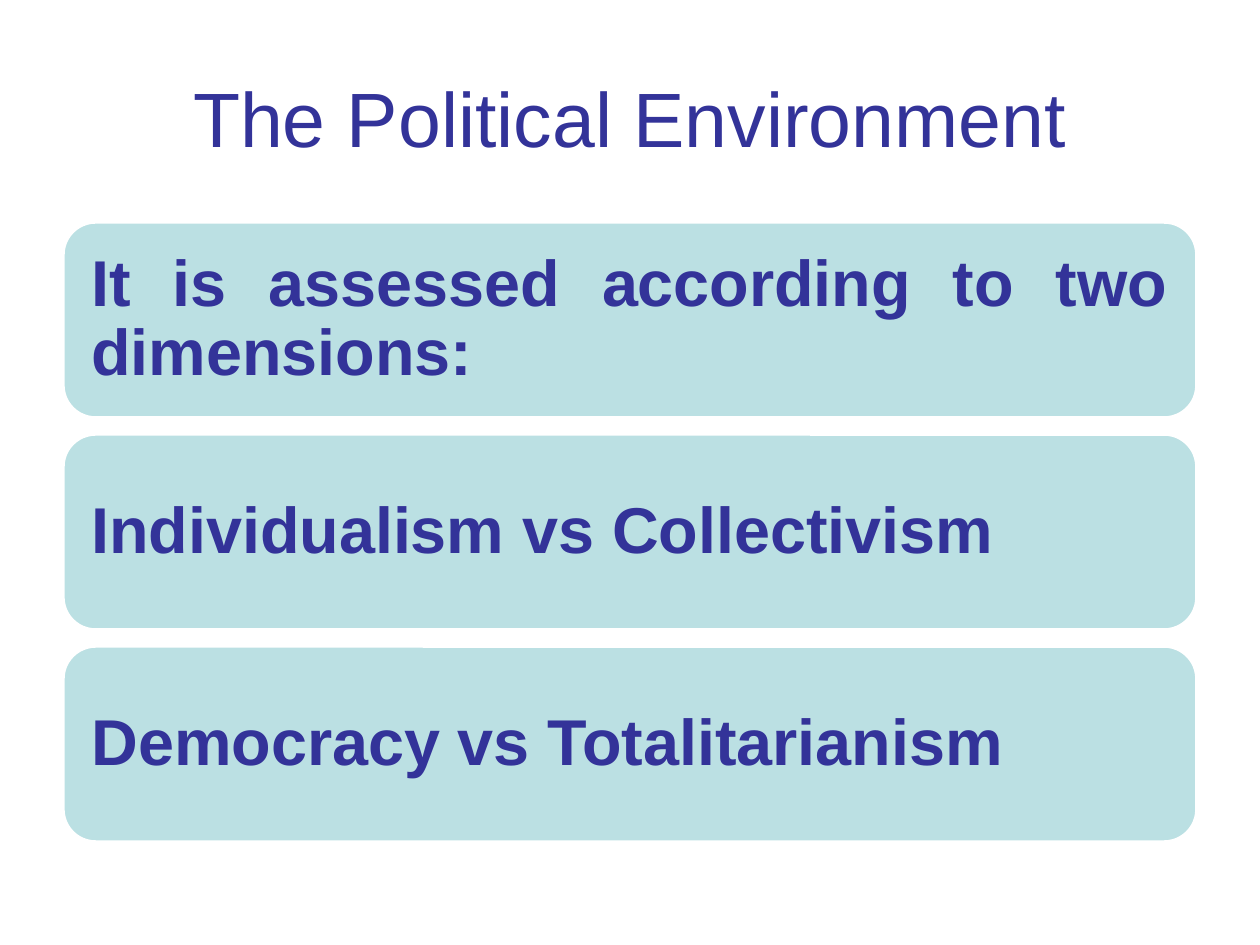
"""Build the slide on the political environment and its two dimensions."""
from pptx import Presentation, util as u
from pptx.dml.color import RGBColor
from pptx.enum import shapes, text

HEADING = "The Political Environment"
STATEMENTS = [
    "It is assessed according to two dimensions:",
    "Individualism vs Collectivism",
    "Democracy vs Totalitarianism",
]
INDIGO = RGBColor(0x33, 0x33, 0x99)
PALE_TEAL = RGBColor(0xBB, 0xE0, 0xE3)
WHITE = RGBColor(0xFF, 0xFF, 0xFF)
FONT = "Arial"

LEFT, WIDTH = 63, 1134
HEADING_TOP, HEADING_HEIGHT = 38, 158
PANEL_TOP, PANEL_HEIGHT, PANEL_GAP = 222, 196, 16
PANEL_INSET = 19


def px(length):
    return u.Emu(round(length * 914400 / 126))


def write(frame, words, size, alignment, bold=False):
    frame.text = words
    frame.word_wrap = True
    frame.auto_size = text.MSO_AUTO_SIZE.NONE
    frame.vertical_anchor = text.MSO_ANCHOR.MIDDLE
    paragraph = frame.paragraphs[0]
    paragraph.alignment = alignment
    font = paragraph.runs[0].font
    font.name, font.size, font.bold = FONT, u.Pt(size), bold
    font.color.rgb = INDIGO
    return paragraph


def add_panel(slide, top, statement):
    panel = slide.shapes.add_shape(
        shapes.MSO_SHAPE.ROUNDED_RECTANGLE,
        px(LEFT), px(top), px(WIDTH), px(PANEL_HEIGHT))
    panel.shadow.inherit = False
    panel.fill.solid()
    panel.fill.fore_color.rgb = PALE_TEAL
    panel.line.color.rgb = WHITE
    panel.line.width = u.Pt(2)
    frame = panel.text_frame
    frame.margin_left = frame.margin_right = px(PANEL_INSET)
    frame.margin_top = frame.margin_bottom = px(PANEL_INSET)
    paragraph = write(frame, statement, 37, text.PP_ALIGN.JUSTIFY, bold=True)
    paragraph.line_spacing = 0.9


def main():
    deck = Presentation()
    deck.slide_width, deck.slide_height = px(1260), px(945)
    slide = deck.slides.add_slide(deck.slide_layouts[5])
    slide.background.fill.solid()
    slide.background.fill.fore_color.rgb = WHITE

    heading = slide.shapes.title
    heading.left, heading.top = px(LEFT), px(HEADING_TOP)
    heading.width, heading.height = px(WIDTH), px(HEADING_HEIGHT)
    write(heading.text_frame, HEADING, 44, text.PP_ALIGN.CENTER)

    for row, statement in enumerate(STATEMENTS):
        add_panel(slide, PANEL_TOP + row * (PANEL_HEIGHT + PANEL_GAP), statement)

    deck.save("out.pptx")


if __name__ == "__main__":
    main()
